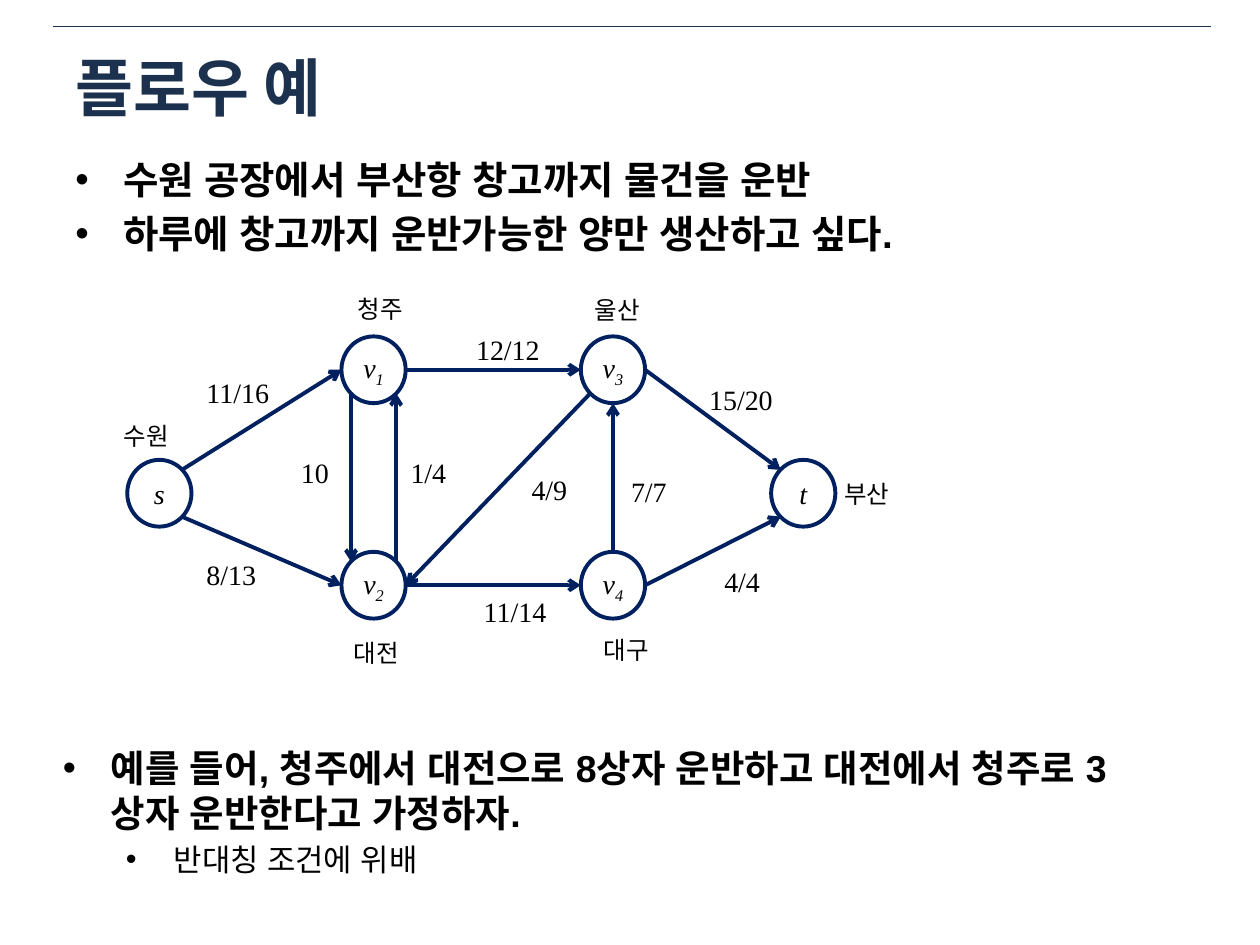
from lxml.etree import SubElement
from pptx import Presentation
from pptx.dml.color import RGBColor
from pptx.enum.shapes import MSO_CONNECTOR, MSO_SHAPE
from pptx.enum.text import MSO_ANCHOR, MSO_AUTO_SIZE, PP_ALIGN
from pptx.oxml.ns import qn
from pptx.util import Inches, Pt

COLS, ROWS = 100, 75
WIDE, HIGH = Inches(10), Inches(7.5)
NAVY, BLUE, BLACK, WHITE = "1C314E", "002060", "000000", "FFFFFF"
SANS, SERIF, KOREAN = "Arial", "Times New Roman", "Noto Sans CJK KR"
NODE_W, NODE_H = 5.1, 5.3
DIAG = 0.7
PORTS = {
    "N": (0, -1), "S": (0, 1), "E": (1, 0), "W": (-1, 0),
    "NE": (DIAG, -DIAG), "NW": (-DIAG, -DIAG),
    "SE": (DIAG, DIAG), "SW": (-DIAG, DIAG),
}
LEFT, MID, RIGHT, END = 2.65, 19.65, 38.65, 53.75
TOP, HALF, LOW = 6.35, 16.15, 23.45
NODES = {
    "s": (LEFT, HALF), "v1": (MID, TOP), "v2": (MID, LOW),
    "v3": (RIGHT, TOP), "v4": (RIGHT, LOW), "t": (END, HALF),
}
EDGES = [
    ("s", "NE", "v1", "W", "11/16", 5.4, 6.3),
    ("s", "SE", "v2", "W", "8/13", 5.4, 20.8),
    ("v1", "SW", "v2", "NW", "10", 12.9, 12.7),
    ("v2", "NE", "v1", "SE", "1/4", 21.6, 12.7),
    ("v1", "E", "v3", "W", "12/12", 26.8, 2.9),
    ("v3", "SW", "v2", "E", "4/9", 31.2, 14),
    ("v2", "E", "v4", "W", "11/14", 27.4, 23.7),
    ("v4", "N", "v3", "S", "7/7", 39.1, 14.2),
    ("v3", "E", "t", "NW", "15/20", 45.3, 6.9),
    ("v4", "E", "t", "SW", "4/4", 46.5, 21.3),
]
CITIES = [
    ("청주", 17.9, -0.1), ("대전", 17.6, 27.2), ("수원", -0.7, 10),
    ("부산", 56.5, 14.6), ("울산", 36.7, 0), ("대구", 37.4, 27),
]


def color(code):
    """Turn a hex string into a colour."""
    return RGBColor.from_string(code)


def across(cols):
    """Turn grid columns into a length."""
    return round(WIDE * cols / COLS)


def down(rows):
    """Turn grid rows into a length."""
    return round(HIGH * rows / ROWS)


def place(box):
    """Turn a grid box into left, top, width and height."""
    x, y, w, h = box
    return across(x), down(y), across(w), down(h)


def write(frame, text, size=16, font=SANS, ink=BLACK, bold=False, italic=False,
          sub="", align=PP_ALIGN.LEFT, before=0, after=0, bullet=None):
    """Add one paragraph to a text frame."""
    para = frame.paragraphs[0]
    if para.runs:
        para = frame.add_paragraph()
    para.alignment = align
    para.space_before, para.space_after = Pt(before), Pt(after)
    if bullet:
        props = para._p.get_or_add_pPr()
        props.set("marL", str(across(bullet)))
        props.set("indent", str(-across(3.8)))
        SubElement(props, qn("a:buFont")).set("typeface", SANS)
        SubElement(props, qn("a:buChar")).set("char", "•")
    for part in filter(None, (text, sub)):
        run = para.add_run()
        run.text = part
        face = run.font
        face.size, face.name = Pt(size), font
        face.bold, face.italic = bold, italic
        face.color.rgb = color(ink)
        props = run._r.get_or_add_rPr()
        SubElement(props, qn("a:ea")).set("typeface", font)
        if part == sub:
            props.set("baseline", "-25000")


def inset(frame, side, edge):
    """Set the margins of a text frame."""
    frame.margin_left = frame.margin_right = Inches(side)
    frame.margin_top = frame.margin_bottom = Inches(edge)


def panel(slide, box, anchor=MSO_ANCHOR.TOP, wrap=True):
    """Add an empty text box and return its frame."""
    frame = slide.shapes.add_textbox(*place(box)).text_frame
    frame.word_wrap = wrap
    frame.vertical_anchor = anchor
    if not wrap:
        frame.auto_size = MSO_AUTO_SIZE.SHAPE_TO_FIT_TEXT
    return frame


def join(slide, start, end, ink=BLUE, width=2.25, arrow=True):
    """Draw a line between two grid points."""
    line = slide.shapes.add_connector(
        MSO_CONNECTOR.STRAIGHT, across(start[0]), down(start[1]),
        across(end[0]), down(end[1]))
    line.line.color.rgb = color(ink)
    line.line.width = Pt(width)
    if arrow:
        SubElement(line.line._get_or_add_ln(), qn("a:tailEnd")).set("type", "arrow")
    SubElement(line._element.spPr, qn("a:effectLst"))


def header(slide, box):
    """Place the rule and the title."""
    x, y, w, h = box
    join(slide, (x, y), (x + w, y), NAVY, 0.25, False)
    frame = panel(slide, (x + 0.8, y + 1.4, 90, h - 1.4), MSO_ANCHOR.MIDDLE)
    write(frame, "플로우 예", size=36, font=KOREAN, ink=NAVY, bold=True)


def intro(slide, box):
    """Place the opening points."""
    frame = panel(slide, box)
    for text in ("수원 공장에서 부산항 창고까지 물건을 운반",
                 "하루에 창고까지 운반가능한 양만 생산하고 싶다."):
        write(frame, text, size=22, bold=True, before=4.4, bullet=3.8)


def node(slide, name, x, y):
    """Place one round node at its centre."""
    ring = slide.shapes.add_shape(
        MSO_SHAPE.OVAL, *place((x - NODE_W / 2, y - NODE_H / 2, NODE_W, NODE_H)))
    ring.shadow.inherit = False
    ring.fill.solid()
    ring.fill.fore_color.rgb = color(WHITE)
    ring.line.color.rgb = color(BLUE)
    ring.line.width = Pt(2.25)
    frame = ring.text_frame
    frame.vertical_anchor = MSO_ANCHOR.MIDDLE
    inset(frame, 0.04, 0.05)
    write(frame, name[0], font=SERIF, italic=True, sub=name[1:],
          align=PP_ALIGN.CENTER)


def graph(slide, box):
    """Place the flow network with its labels."""
    left, top = box[:2]

    def port(name, side):
        """Find a point on the rim of a node."""
        (x, y), (dx, dy) = NODES[name], PORTS[side]
        return left + x + dx * NODE_W / 2, top + y + dy * NODE_H / 2

    for name, (x, y) in NODES.items():
        node(slide, name, left + x, top + y)
    for tail, out, head, into, flow, x, y in EDGES:
        join(slide, port(tail, out), port(head, into))
        slash = flow.count("/")
        width = 2.1 + 1.1 * (len(flow) - slash) + 0.6 * slash
        frame = panel(slide, (left + x, top + y, width, 3.7), wrap=False)
        write(frame, flow, font=SERIF)
    for city, x, y in CITIES:
        frame = panel(slide, (left + x, top + y, 4.6, 3.2), MSO_ANCHOR.MIDDLE, False)
        inset(frame, 0.04, 0.04)
        write(frame, city, size=14, align=PP_ALIGN.CENTER, before=2, after=2)


def closing(slide, box):
    """Place the closing example."""
    frame = panel(slide, box, MSO_ANCHOR.MIDDLE)
    write(frame, "예를 들어, 청주에서 대전으로 8상자 운반하고 대전에서 청주로 "
          "3상자 운반한다고 가정하자.", size=21.4, bold=True, before=4.3, bullet=3.8)
    write(frame, "반대칭 조건에 위배", size=17.6, before=3.5, bullet=8.8)
    frame.paragraphs[1].level = 1


def main():
    """Build and save the slide."""
    deck = Presentation()
    deck.slide_width, deck.slide_height = WIDE, HIGH
    slide = deck.slides.add_slide(deck.slide_layouts[6])
    header(slide, (4.2, 2.1, 91.9, 8.1))
    intro(slide, (5, 11.9, 90, 15.9))
    graph(slide, (10, 23, 61, 31))
    closing(slide, (4, 56.7, 90.1, 15.4))
    deck.save("out.pptx")


if __name__ == "__main__":
    main()
